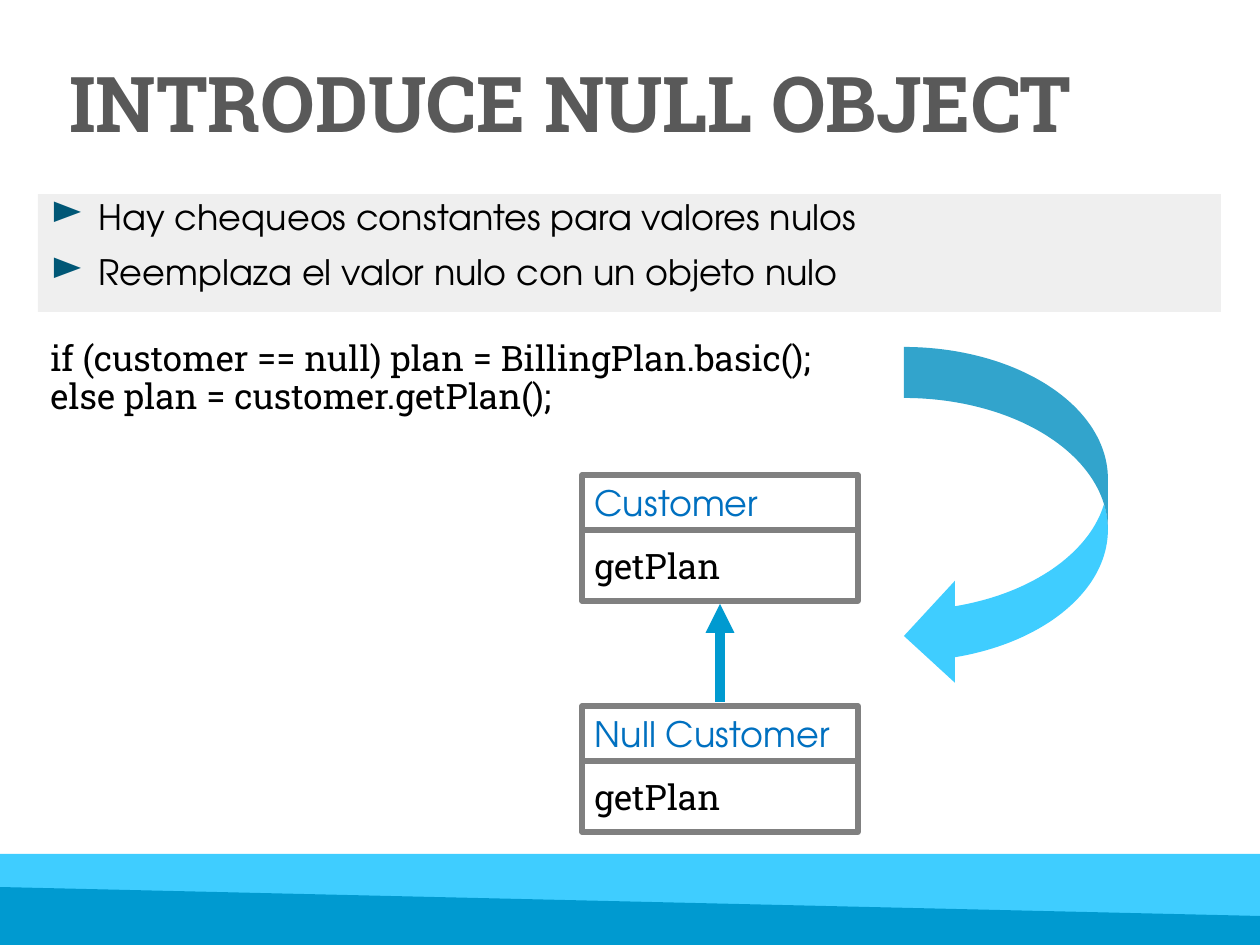
from lxml.etree import SubElement
from pptx import Presentation
from pptx.dml.color import RGBColor
from pptx.enum.shapes import MSO_CONNECTOR, MSO_SHAPE
from pptx.enum.text import MSO_ANCHOR, MSO_AUTO_SIZE, PP_ALIGN
from pptx.oxml.ns import qn
from pptx.util import Emu, Pt

SLAB = "Roboto Slab"
ADVENTOR = "TeX Gyre Adventor"
SKY = RGBColor(0x3F, 0xCD, 0xFF)
BLUE = RGBColor(0x00, 0x9A, 0xD0)
PANEL = RGBColor(0xD9, 0xD9, 0xD9)
BORDER = RGBColor(0x80, 0x80, 0x80)
TITLE = RGBColor(0x59, 0x59, 0x59)
CLASS_NAME = RGBColor(0x00, 0x70, 0xC0)
BLACK = RGBColor(0, 0, 0)
BULLET = RGBColor(0x00, 0x57, 0x76)


def px(length):
    return Emu(round(length * 914400 / 126))


def write(shape, lines, font=SLAB, size=20, color=BLACK, bold=False,
          anchor=MSO_ANCHOR.TOP, spacing=None, before=0):
    frame = shape.text_frame
    frame.word_wrap = True
    frame.auto_size = MSO_AUTO_SIZE.NONE
    frame.vertical_anchor = anchor
    for index, line in enumerate(lines):
        para = frame.add_paragraph() if index else frame.paragraphs[0]
        para.alignment = PP_ALIGN.LEFT
        para.line_spacing = spacing
        para.space_before = Pt(before)
        span = para.add_run()
        span.text = line
        span.font.name = font
        span.font.size = Pt(size)
        span.font.bold = bold
        span.font.color.rgb = color
    return frame


def add_bullet(para, indent):
    properties = para._p.get_or_add_pPr()
    properties.set("marL", str(px(indent)))
    properties.set("indent", str(-px(indent)))
    color = SubElement(properties, qn("a:buClr"))
    SubElement(color, qn("a:srgbClr"), val=str(BULLET))
    SubElement(properties, qn("a:buSzPct"), val="120000")
    SubElement(properties, qn("a:buChar"), char="►")


def add_block(page, kind, left, top, width, height, fill=None, border=None):
    block = page.shapes.add_shape(kind, px(left), px(top), px(width), px(height))
    block.shadow.inherit = False
    if fill is None:
        block.fill.background()
    else:
        block.fill.solid()
        block.fill.fore_color.rgb = fill
    if border is None:
        block.line.fill.background()
    else:
        block.line.color.rgb = border
        block.line.width = Pt(3)
    return block


def add_title(page, left, top, width, height):
    title = page.shapes.title
    title.left, title.top = px(left), px(top)
    title.width, title.height = px(width), px(height)
    frame = write(title, ["INTRODUCE NULL OBJECT"], size=44, color=TITLE,
                  bold=True, anchor=MSO_ANCHOR.MIDDLE, spacing=0.9)
    frame.margin_left = px(68)


def add_footer(page, left, top, width, height):
    add_block(page, MSO_SHAPE.RECTANGLE, left, top, width, height, fill=SKY)
    bottom = top + height
    builder = page.shapes.build_freeform(px(left), px(top + 33))
    builder.add_line_segments([
        (px(left + width), px(top + 62)),
        (px(left + width), px(bottom)),
        (px(left), px(bottom)),
    ])
    wedge = builder.convert_to_shape()
    wedge.shadow.inherit = False
    wedge.fill.solid()
    wedge.fill.fore_color.rgb = BLUE
    wedge.line.fill.background()


def add_summary(page, left, top, width, height):
    panel = add_block(page, MSO_SHAPE.RECTANGLE, left, top, width, height, fill=PANEL)
    color = panel.fill._xPr.find(qn("a:solidFill"))[0]
    SubElement(color, qn("a:alpha"), val="40000")
    frame = write(panel, ["Hay chequeos constantes para valores nulos",
                          "Reemplaza el valor nulo con un objeto nulo"],
                  font=ADVENTOR, spacing=0.9, before=10)
    for para in frame.paragraphs:
        add_bullet(para, 48)


def add_code(page, left, top, width, height):
    box = page.shapes.add_textbox(px(left), px(top), px(width), px(height))
    write(box, ["if (customer == null) plan = BillingPlan.basic(); "
                "else plan = customer.getPlan();"], spacing=0.9, before=10)


def add_class(page, name, method, left, top, width, height):
    header = 55
    body = add_block(page, MSO_SHAPE.RECTANGLE, left, top + header, width,
                     height - header, border=BORDER)
    write(body, [method], anchor=MSO_ANCHOR.MIDDLE)
    head = add_block(page, MSO_SHAPE.RECTANGLE, left, top, width, header, border=BORDER)
    write(head, [name], font=ADVENTOR, color=CLASS_NAME, anchor=MSO_ANCHOR.MIDDLE)


def add_inheritance(page, x, start, end):
    arrow = page.shapes.add_connector(MSO_CONNECTOR.STRAIGHT, px(x), px(start), px(x), px(end))
    arrow.line.color.rgb = BLUE
    arrow.line.width = Pt(5.5)
    SubElement(arrow.line._get_or_add_ln(), qn("a:tailEnd"), type="triangle")
    SubElement(arrow._element.spPr, qn("a:effectLst"))


def add_diagram(page, left, top, width, height):
    class_height = 126
    lower = top + height - class_height
    add_inheritance(page, left + width / 2, lower - 4, top + class_height + 3)
    add_class(page, "Null Customer", "getPlan", left, lower, width, class_height)
    add_class(page, "Customer", "getPlan", left, top, width, class_height)


def main():
    deck = Presentation()
    deck.slide_width, deck.slide_height = px(1260), px(945)
    page = deck.slides.add_slide(deck.slide_layouts[5])
    add_title(page, 1, 16, 1221, 183)
    add_footer(page, 0, 854, 1260, 91)
    add_summary(page, 38, 194, 1183, 118)
    add_code(page, 38, 335, 806, 95)
    add_block(page, MSO_SHAPE.CURVED_LEFT_ARROW, 904, 347, 204, 340, fill=SKY)
    add_diagram(page, 582, 475, 276, 357)
    deck.save("out.pptx")


if __name__ == "__main__":
    main()
